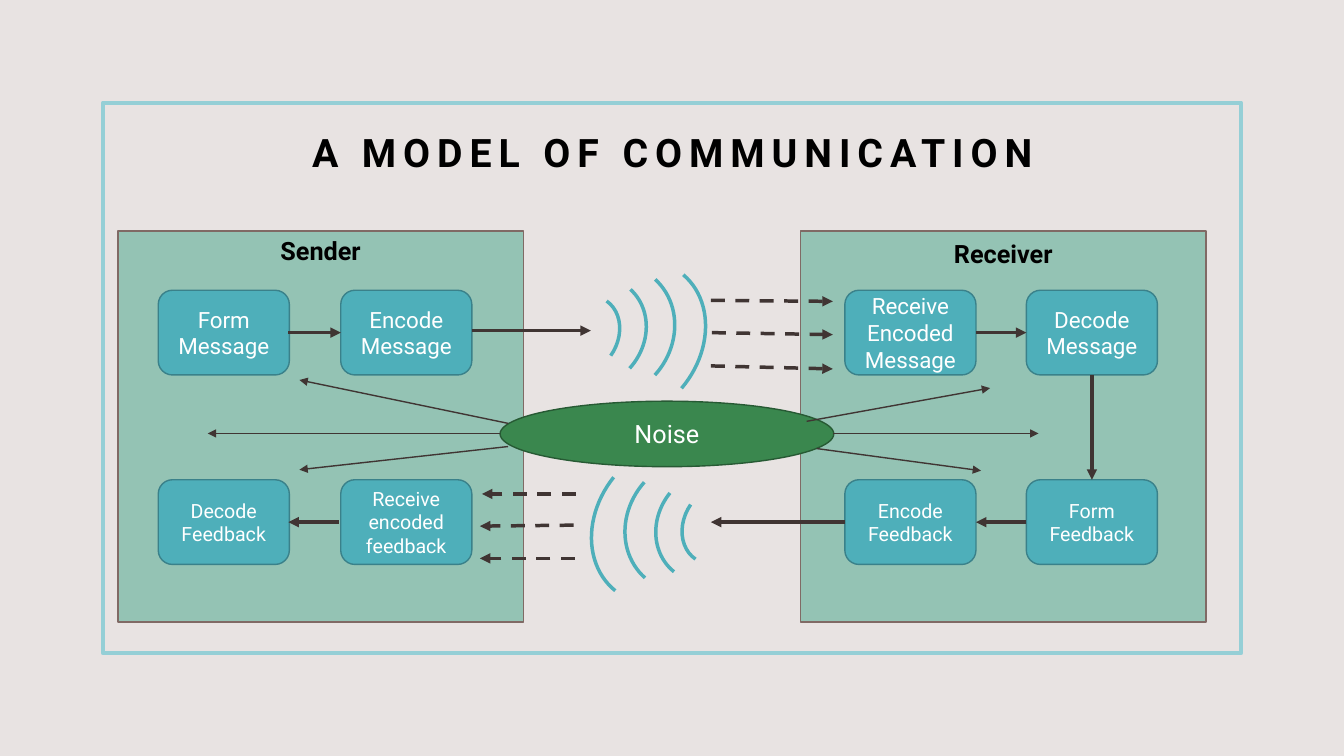
from typing import NamedTuple, Optional

import pptx
import pptx.dml.color
import pptx.enum.dml
import pptx.enum.shapes
import pptx.enum.text
import pptx.oxml
import pptx.oxml.ns
import pptx.util

Inches = pptx.util.Inches
Pt = pptx.util.Pt
SHAPE = pptx.enum.shapes.MSO_SHAPE
ANCHOR = pptx.enum.text.MSO_ANCHOR

FONT = "Roboto"
BLACK, WHITE = "000000", "FFFFFF"
BACKGROUND, FRAME = "E8E3E2", "95CFD6"
PANEL, PANEL_EDGE = "94C3B4", "806A65"
STEP, STEP_EDGE = "4EAFBA", "3A818A"
NOISE, NOISE_EDGE = "3A874E", "275A34"
ARROW = "403533"

STEP_W, STEP_H = 1.3, 0.84
MESSAGE_Y, FEEDBACK_Y = 2.88, 4.76
COLUMNS = (1.57, 3.38, 8.38, 10.18)


class Box(NamedTuple):
    x: float
    y: float
    w: float
    h: float


class Wave(NamedTuple):
    box: Box
    rotation: float


class Arrow(NamedTuple):
    x1: float
    y1: float
    x2: float
    y2: float
    width: float = 2.5
    dashed: bool = False


MESSAGE_STEPS = ("Form Message", "Encode Message", "Receive\nEncoded Message", "Decode Message")
FEEDBACK_STEPS = ("Decode Feedback", "Receive encoded feedback", "Encode Feedback", "Form Feedback")

WAVES = [
    Wave(Box(5.43, 2.91, 0.69, 0.84), 35.1),
    Wave(Box(5.34, 2.72, 1.04, 1.17), 42.2),
    Wave(Box(5.39, 2.59, 1.27, 1.41), 42.2),
    Wave(Box(5.5, 2.52, 1.43, 1.74), 40.3),
    Wave(Box(5.93, 4.31, 1.43, 1.74), 218.6),
    Wave(Box(6.23, 4.5, 1.27, 1.41), 221.6),
    Wave(Box(6.53, 4.63, 1.04, 1.17), 218.7),
    Wave(Box(6.79, 4.78, 0.69, 0.84), 214.3),
]

STEP_ARROWS = [
    Arrow(2.86, 3.3, 3.38, 3.3),
    Arrow(9.68, 3.3, 10.18, 3.3),
    Arrow(10.18, 5.18, 9.68, 5.18),
    Arrow(3.36, 5.18, 2.86, 5.18),
    Arrow(4.68, 3.28, 5.86, 3.28),
    Arrow(8.38, 5.18, 7.05, 5.18),
    Arrow(10.83, 3.72, 10.83, 4.76),
]
SIGNAL_ARROWS = [
    Arrow(*ends, dashed=True)
    for ends in (
        (7.05, 2.98, 8.26, 2.99),
        (7.06, 3.3, 8.26, 3.32),
        (7.05, 3.63, 8.26, 3.66),
        (5.71, 4.9, 4.78, 4.9),
        (5.69, 5.21, 4.76, 5.22),
        (5.7, 5.54, 4.76, 5.54),
    )
]
NOISE_ARROWS = [
    Arrow(*ends, width=1)
    for ends in (
        (4.96, 4.3, 2.06, 4.3),
        (5.04, 4.2, 2.97, 3.77),
        (5.04, 4.43, 2.97, 4.66),
        (8.26, 4.3, 10.3, 4.3),
        (8, 4.18, 9.82, 3.85),
        (8.1, 4.45, 9.73, 4.67),
    )
]


def rgb(value: str) -> pptx.dml.color.RGBColor:
    return pptx.dml.color.RGBColor.from_string(value)


def write(sp, text: str, *, size: float, color: str = WHITE, bold: bool = False,
          anchor=ANCHOR.MIDDLE, line_spacing: Optional[float] = None,
          tracking: float = 0) -> None:
    """Fill a shape with centred text, one paragraph per line; tracking is in points."""
    tf = sp.text_frame
    tf.word_wrap = True
    tf.vertical_anchor = anchor
    for i, line in enumerate(text.split("\n")):
        p = tf.paragraphs[0] if i == 0 else tf.add_paragraph()
        p.alignment = pptx.enum.text.PP_ALIGN.CENTER
        if line_spacing:
            p.line_spacing = line_spacing
        r = p.add_run()
        r.text = line
        r.font.name = FONT
        r.font.size = Pt(size)
        r.font.bold = bold
        r.font.color.rgb = rgb(color)
        if tracking:
            r.font._element.set("spc", str(int(tracking * 100)))


def add_shape(s, kind, box: Box, *, line: str, width: float = 1,
              fill: Optional[str] = None):
    sp = s.shapes.add_shape(kind, *map(Inches, box))
    sp.shadow.inherit = False
    if fill:
        sp.fill.solid()
        sp.fill.fore_color.rgb = rgb(fill)
    else:
        sp.fill.background()
    sp.line.color.rgb = rgb(line)
    sp.line.width = Pt(width)
    return sp


def add_label(s, text: str, box: Box, **text_format) -> None:
    write(s.shapes.add_textbox(*map(Inches, box)), text, color=BLACK, bold=True, **text_format)


def add_arrow(s, arrow: Arrow) -> None:
    ends = map(Inches, (arrow.x1, arrow.y1, arrow.x2, arrow.y2))
    cx = s.shapes.add_connector(pptx.enum.shapes.MSO_CONNECTOR.STRAIGHT, *ends)
    cx.line.color.rgb = rgb(ARROW)
    cx.line.width = Pt(arrow.width)
    if arrow.dashed:
        cx.line.dash_style = pptx.enum.dml.MSO_LINE.DASH
    tail = pptx.oxml.parse_xml(f'<a:tailEnd {pptx.oxml.ns.nsdecls("a")} type="triangle"/>')
    cx.line._get_or_add_ln().append(tail)
    effects = pptx.oxml.parse_xml(f'<a:effectLst {pptx.oxml.ns.nsdecls("a")}/>')
    cx._element.spPr.append(effects)


def main() -> None:
    prs = pptx.Presentation()
    prs.slide_width, prs.slide_height = Inches(13.33), Inches(7.5)
    s = prs.slides.add_slide(prs.slide_layouts[6])
    s.background.fill.solid()
    s.background.fill.fore_color.rgb = rgb(BACKGROUND)

    add_shape(s, SHAPE.RECTANGLE, Box(1.02, 1.02, 11.29, 5.46), line=FRAME, width=3)
    add_label(s, "A MODEL OF COMMUNICATION", Box(1.76, 0.62, 9.82, 1.17), size=28,
              anchor=ANCHOR.BOTTOM, line_spacing=1.2, tracking=5)

    for name, x, label_y in (("Sender", 1.17, 2.29), ("Receiver", 7.94, 2.32)):
        add_shape(s, SHAPE.RECTANGLE, Box(x, 2.29, 4.02, 3.88), fill=PANEL, line=PANEL_EDGE)
        add_label(s, name, Box(x, label_y, 4.02, 0.4), size=18, anchor=ANCHOR.TOP)

    for y, size, steps in ((MESSAGE_Y, 16, MESSAGE_STEPS), (FEEDBACK_Y, 14, FEEDBACK_STEPS)):
        for x, step in zip(COLUMNS, steps):
            sp = add_shape(s, SHAPE.ROUNDED_RECTANGLE, Box(x, y, STEP_W, STEP_H),
                           fill=STEP, line=STEP_EDGE)
            write(sp, step, size=size)

    for wave in WAVES:
        sp = add_shape(s, SHAPE.ARC, wave.box, line=STEP, width=2.5)
        sp.rotation = wave.rotation

    sp = add_shape(s, SHAPE.OVAL, Box(4.96, 3.98, 3.31, 0.65), fill=NOISE, line=NOISE_EDGE)
    write(sp, "Noise", size=18)

    for arrow in STEP_ARROWS + SIGNAL_ARROWS + NOISE_ARROWS:
        add_arrow(s, arrow)

    prs.save("out.pptx")


if __name__ == "__main__":
    main()
